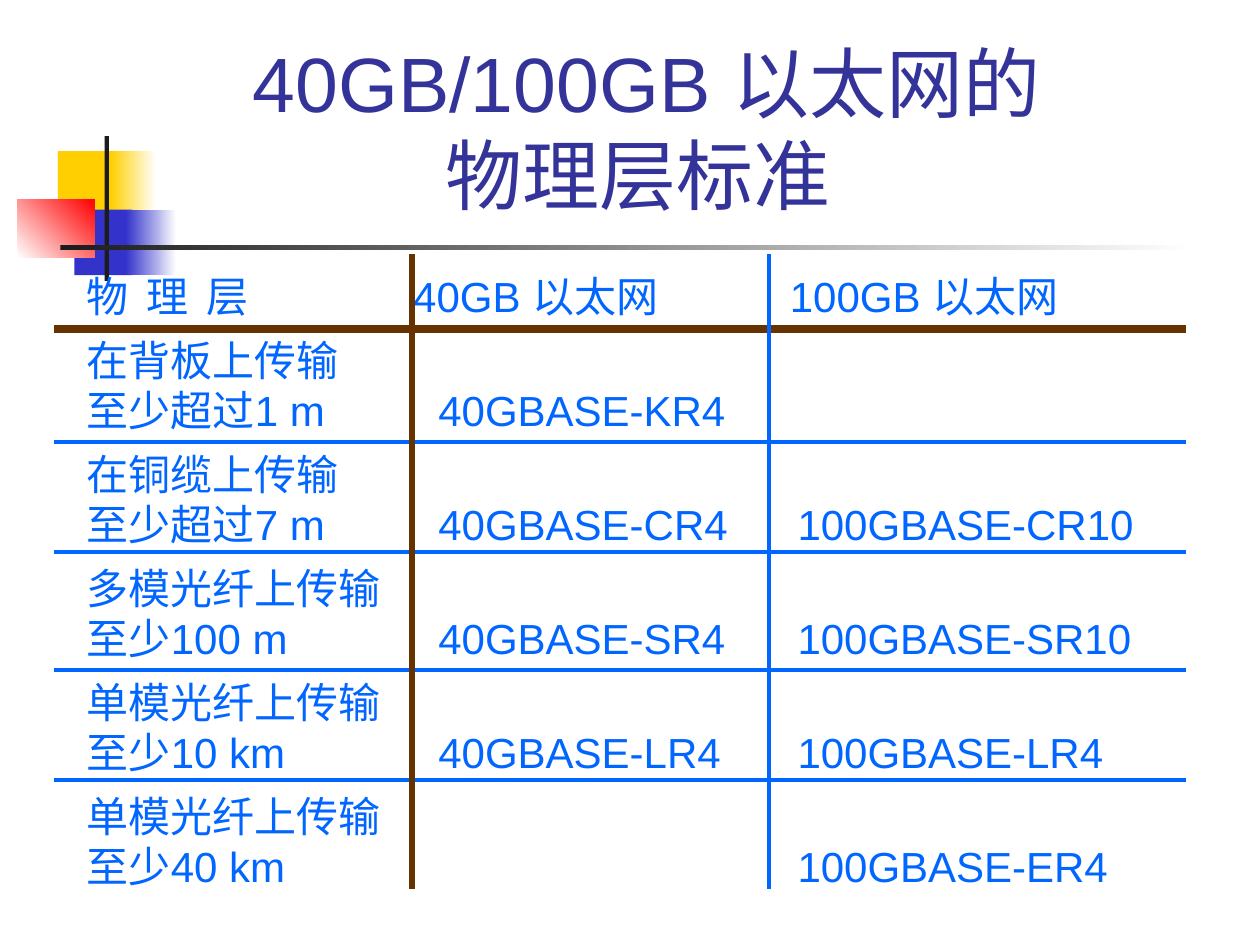
"""Build a slide comparing 40GB and 100GB Ethernet physical layer standards."""
from typing import NamedTuple, Optional

import lxml.etree
import pptx
import pptx.dml.color
import pptx.enum.shapes
import pptx.enum.text
import pptx.oxml.ns
import pptx.util

SLIDE_WIDTH = pptx.util.Inches(10)
SLIDE_HEIGHT = pptx.util.Inches(7.5)
FONT = "Arial"
BLUE, BROWN, TITLE_COLOUR = "0066FF", "663300", "333399"
GOLD, INDIGO, RED, BLACK, WHITE = "FFCF01", "3333CC", "FF0000", "1C1C1C", "FFFFFF"
NO_STYLE = "{2D5ABB26-0587-4C30-8999-92F81FD0307C}"


class Box(NamedTuple):
    """A rectangle in percent of the slide's width and height."""
    left: float
    top: float
    width: float
    height: float


class Block(NamedTuple):
    """A decorative rectangle, fading to a second colour if one is given."""
    box: Box
    colour: str
    fade: Optional[str] = None
    angle: float = 0


class Rule(NamedTuple):
    """A ruled line's place in percent, its colour and its width in points."""
    place: float
    colour: str
    width: float


BLOCKS = [
    Block(Box(4.6, 16, 4.8, 6.93), GOLD),
    Block(Box(8.8, 16, 3.6, 6.93), GOLD, WHITE),
    Block(Box(5.9, 22.2, 4.6, 6.93), INDIGO),
    Block(Box(10, 22.2, 4, 6.93), INDIGO, WHITE),
    Block(Box(1.4, 21.07, 6.1, 6.2), WHITE, RED, 45),
    Block(Box(8.3, 14.4, 0.35, 15.33), BLACK),
    Block(Box(4.8, 25.95, 90, 0.5), BLACK, WHITE),
]
TITLE_BOX = Box(10.1, 2.87, 82.5, 21.33)
HEADER_HEIGHT, ROW_HEIGHT = 7.67, 12.07
TABLE_BOX = Box(4.3, 26.93, 89.8, HEADER_HEIGHT + 5 * ROW_HEIGHT)
COLUMN_WIDTHS = [28.4, 28.3, 33.1]
HEADER_INDENTS = [2.6, 0.1, 1.7]
BODY_INDENTS = [2.6, 2.1, 2.3]
ROWS = [
    ("物 理 层", "40GB 以太网", "100GB 以太网"),
    ("在背板上传输\v至少超过1 m", "40GBASE-KR4", ""),
    ("在铜缆上传输\v至少超过7 m", "40GBASE-CR4", "100GBASE-CR10"),
    ("多模光纤上传输\v至少100 m", "40GBASE-SR4", "100GBASE-SR10"),
    ("单模光纤上传输\v至少10 km", "40GBASE-LR4", "100GBASE-LR4"),
    ("单模光纤上传输\v至少40 km", "", "100GBASE-ER4"),
]
HORIZONTAL_RULES = [Rule(34.8, BROWN, 4.5)] + [
    Rule(top, BLUE, 2.25) for top in (46.8, 58.4, 70.93, 82.53)]
VERTICAL_RULES = [Rule(32.7, BROWN, 3), Rule(61, BLUE, 2.25)]
RULES_LEFT, RULES_RIGHT = 4.3, 94.1
RULES_TOP, RULES_BOTTOM = 26.93, 94.13


def colour(value: str) -> pptx.dml.color.RGBColor:
    """Turn a hex string into a colour."""
    return pptx.dml.color.RGBColor.from_string(value)


def across(percent: float) -> int:
    """Convert a share of the slide's width to a length."""
    return round(SLIDE_WIDTH * percent / 100)


def down(percent: float) -> int:
    """Convert a share of the slide's height to a length."""
    return round(SLIDE_HEIGHT * percent / 100)


def place(box: Box) -> tuple[int, int, int, int]:
    """Convert a box to left, top, width and height."""
    return across(box.left), down(box.top), across(box.width), down(box.height)


def set_font(paragraph, size: float, value: str) -> None:
    """Format all the text of a paragraph."""
    paragraph.font.name = FONT
    paragraph.font.size = pptx.util.Pt(size)
    paragraph.font.bold = False
    paragraph.font.color.rgb = colour(value)


def draw_block(slide, block: Block) -> None:
    """Draw one decorative rectangle."""
    shape = slide.shapes.add_shape(
        pptx.enum.shapes.MSO_SHAPE.RECTANGLE, *place(block.box))
    shape.shadow.inherit = False
    shape.line.fill.background()
    if block.fade is None:
        shape.fill.solid()
        shape.fill.fore_color.rgb = colour(block.colour)
        return
    shape.fill.gradient()
    shape.fill.gradient_angle = block.angle
    for stop, value in zip(shape.fill.gradient_stops, (block.colour, block.fade)):
        stop.color.rgb = colour(value)


def draw_title(slide) -> None:
    """Place and format the title placeholder."""
    title = slide.shapes.title
    title.left, title.top, title.width, title.height = place(TITLE_BOX)
    title.text_frame.text = "40GB/100GB 以太网的\v物理层标准 "
    title.text_frame.vertical_anchor = pptx.enum.text.MSO_ANCHOR.MIDDLE
    paragraph = title.text_frame.paragraphs[0]
    paragraph.alignment = pptx.enum.text.PP_ALIGN.CENTER
    set_font(paragraph, 44, TITLE_COLOUR)


def fill_cell(cell, text: str, indent: float) -> None:
    """Write and format the text of a cell, aligning Latin and Chinese baselines."""
    cell.fill.background()
    cell.margin_left = across(indent)
    cell.margin_right = cell.margin_top = 0
    cell.margin_bottom = down(0.57 if text.isascii() else 0.25)
    cell.vertical_anchor = pptx.enum.text.MSO_ANCHOR.BOTTOM
    cell.text = text
    paragraph = cell.text_frame.paragraphs[0]
    paragraph.line_spacing = pptx.util.Pt(28.8)
    set_font(paragraph, 24, BLUE)


def draw_table(slide) -> None:
    """Draw the table of standards."""
    table = slide.shapes.add_table(
        len(ROWS), len(COLUMN_WIDTHS), *place(TABLE_BOX)).table
    table._tbl.tblPr.find(pptx.oxml.ns.qn("a:tableStyleId")).text = NO_STYLE
    for column, width in zip(table.columns, COLUMN_WIDTHS):
        column.width = across(width)
    for row_index, texts in enumerate(ROWS):
        table.rows[row_index].height = down(ROW_HEIGHT if row_index else HEADER_HEIGHT)
        indents = BODY_INDENTS if row_index else HEADER_INDENTS
        for column_index, text in enumerate(texts):
            fill_cell(table.cell(row_index, column_index), text, indents[column_index])
    header_run = table.cell(0, 0).text_frame.paragraphs[0].runs[0]
    header_run._r.get_or_add_rPr().set("spc", "250")


def draw_rule(slide, rule: Rule, horizontal: bool) -> None:
    """Draw one ruled line of the table."""
    if horizontal:
        left, right, top, bottom = RULES_LEFT, RULES_RIGHT, rule.place, rule.place
    else:
        left, right, top, bottom = rule.place, rule.place, RULES_TOP, RULES_BOTTOM
    connector = slide.shapes.add_connector(
        pptx.enum.shapes.MSO_CONNECTOR.STRAIGHT,
        across(left), down(top), across(right), down(bottom))
    connector.line.color.rgb = colour(rule.colour)
    connector.line.width = pptx.util.Pt(rule.width)
    lxml.etree.SubElement(
        connector._element.spPr, pptx.oxml.ns.qn("a:effectLst"))


def main() -> None:
    """Build and save the presentation."""
    presentation = pptx.Presentation()
    presentation.slide_width = SLIDE_WIDTH
    presentation.slide_height = SLIDE_HEIGHT
    slide = presentation.slides.add_slide(presentation.slide_layouts[5])
    for block in BLOCKS:
        draw_block(slide, block)
    draw_title(slide)
    draw_table(slide)
    for rule in HORIZONTAL_RULES:
        draw_rule(slide, rule, horizontal=True)
    for rule in VERTICAL_RULES:
        draw_rule(slide, rule, horizontal=False)
    presentation.save("out.pptx")


if __name__ == "__main__":
    main()
